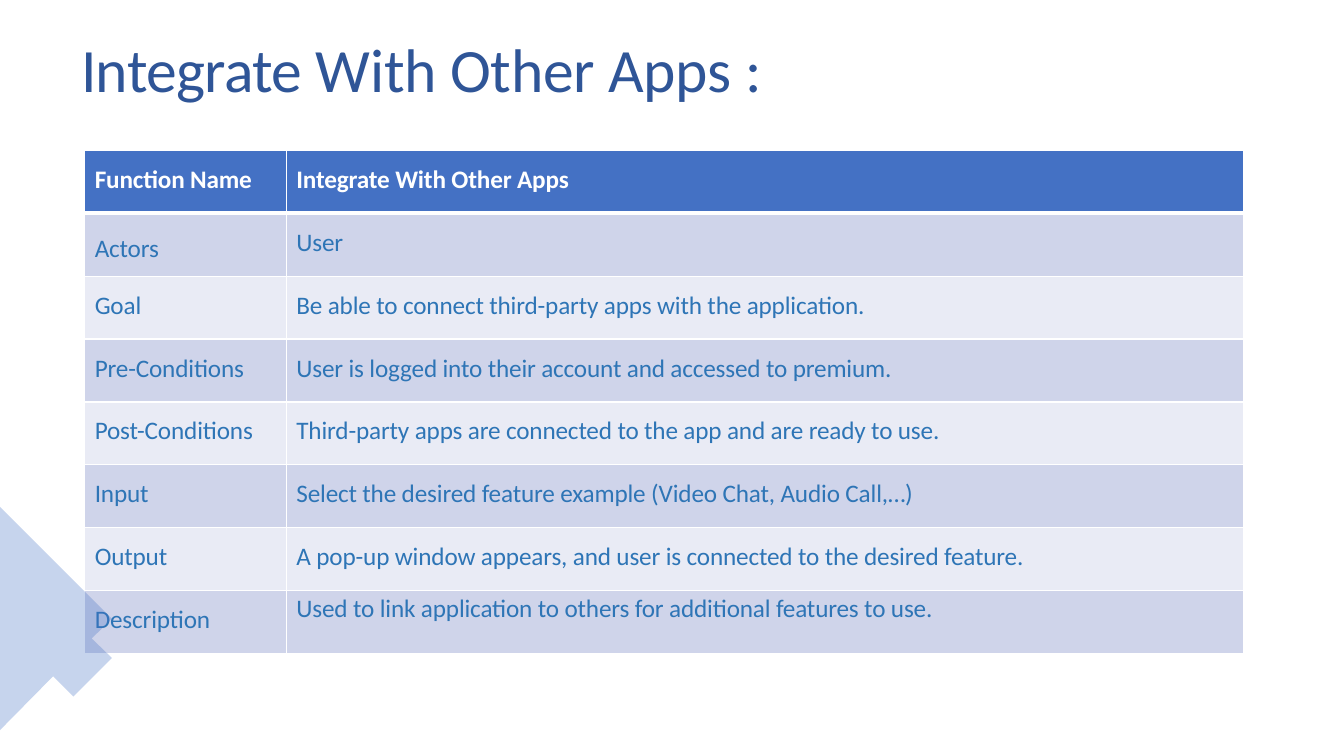
from lxml.etree import SubElement
from pptx import Presentation
from pptx.dml.color import RGBColor
from pptx.enum.text import MSO_ANCHOR as Anchor, MSO_AUTO_SIZE as AutoSize, PP_ALIGN as Align
from pptx.oxml import parse_xml
from pptx.oxml.ns import nsdecls, qn
from pptx.util import Pt

FONT = "Calibri"
WHITE, HEADER_BLUE, TITLE_BLUE, TEXT_BLUE = "FFFFFF", "4471C4", "2F5597", "2E75B6"
BANDS = ("E9EBF5", "CFD4EA")
COLUMN_WIDTHS = (144, 684)
ROW_HEIGHT = 44.91
CELL_TOP = 10
SPECIAL_TOPS = {(1, 0): 14.4, (7, 1): 2.4}
TITLE_RUNS = (("Integrate ", -0.5), ("With Other ", -0.2), ("Apps ", -0.3), (":", 0))
ROWS = (
    ("Function Name", "Integrate With Other Apps"),
    ("Actors", "User"),
    ("Goal", "Be able to connect third-party apps with the application."),
    ("Pre-Conditions", "User is logged into their account and accessed to premium."),
    ("Post-Conditions", "Third-party apps are connected to the app and are ready to use."),
    ("Input", "Select the desired feature example (Video Chat, Audio Call,…)"),
    ("Output", "A pop-up window appears, and user is connected to the desired feature."),
    ("Description", "Used to link application to others for additional features to use."),
)
CORNER_POINTS = ((80, 442), (0, 362), (0, 521.5), (38, 483), (52.5, 497.5), (80, 470), (65.5, 456))


def color(value):
    return RGBColor.from_string(value)


def format_run(run, size, text_color, spacing, bold=False):
    run.font.name = FONT
    run.font.size = Pt(size)
    run.font.bold = bold
    run.font.color.rgb = color(text_color)
    run.font._element.set("spc", str(round(spacing * 100)))


def set_margins(target, left, top):
    target.margin_left, target.margin_top = Pt(left), Pt(top)
    target.margin_right = target.margin_bottom = 0


def add_title(slide):
    title = slide.shapes.title
    title.left, title.top, title.width, title.height = Pt(57), Pt(21), Pt(570), Pt(54)
    frame = title.text_frame
    set_margins(frame, 1, 1)
    frame.vertical_anchor = Anchor.MIDDLE
    frame.auto_size = AutoSize.SHAPE_TO_FIT_TEXT
    paragraph = frame.paragraphs[0]
    paragraph.alignment = Align.LEFT
    paragraph.space_before = 0
    for text, spacing in TITLE_RUNS:
        run = paragraph.add_run()
        run.text = text
        format_run(run, 44, TITLE_BLUE, spacing)


def set_borders(cell, top, bottom):
    properties = cell._tc.get_or_add_tcPr()
    widths = (("lnL", 1), ("lnR", 1), ("lnT", top), ("lnB", bottom))
    for position, (side, width) in enumerate(widths):
        properties.insert(position, parse_xml(
            f'<a:{side} {nsdecls("a")} w="{Pt(width)}"><a:solidFill>'
            f'<a:srgbClr val="{WHITE}"/></a:solidFill></a:{side}>'))


def fill_cell(cell, text, row, column):
    header = row == 0
    cell.text_frame.text = text
    set_margins(cell, 7.2, SPECIAL_TOPS.get((row, column), CELL_TOP))
    cell.vertical_anchor = Anchor.TOP
    cell.fill.solid()
    cell.fill.fore_color.rgb = color(HEADER_BLUE if header else BANDS[row % 2])
    set_borders(cell, 3 if row == 1 else 1, 3 if header else 1)
    run = cell.text_frame.paragraphs[0].runs[0]
    format_run(run, 18, WHITE if header else TEXT_BLUE, -0.1, header)


def add_function_table(slide):
    table = slide.shapes.add_table(
        len(ROWS), len(COLUMN_WIDTHS), Pt(60.5), Pt(107.5),
        Pt(sum(COLUMN_WIDTHS)), Pt(ROW_HEIGHT * len(ROWS))).table
    for column, width in zip(table.columns, COLUMN_WIDTHS):
        column.width = Pt(width)
    for row, texts in enumerate(ROWS):
        table.rows[row].height = Pt(ROW_HEIGHT)
        for column, text in enumerate(texts):
            fill_cell(table.cell(row, column), text, row, column)


def add_corner_shape(slide):
    start, *others = [(Pt(x), Pt(y)) for x, y in CORNER_POINTS]
    builder = slide.shapes.build_freeform(*start)
    builder.add_line_segments(others, close=True)
    shape = builder.convert_to_shape()
    shape.shadow.inherit = False
    shape.line.fill.background()
    shape.fill.solid()
    shape.fill.fore_color.rgb = color(HEADER_BLUE)
    fill_color = shape._element.spPr.find(qn("a:solidFill"))[0]
    SubElement(fill_color, qn("a:alpha")).set("val", "30000")


def main():
    """Build the slide with its title, function table and corner shape."""
    presentation = Presentation()
    presentation.slide_width, presentation.slide_height = Pt(960), Pt(540)
    slide = presentation.slides.add_slide(presentation.slide_layouts[5])
    add_title(slide)
    add_function_table(slide)
    add_corner_shape(slide)
    presentation.save("out.pptx")


if __name__ == "__main__":
    main()
